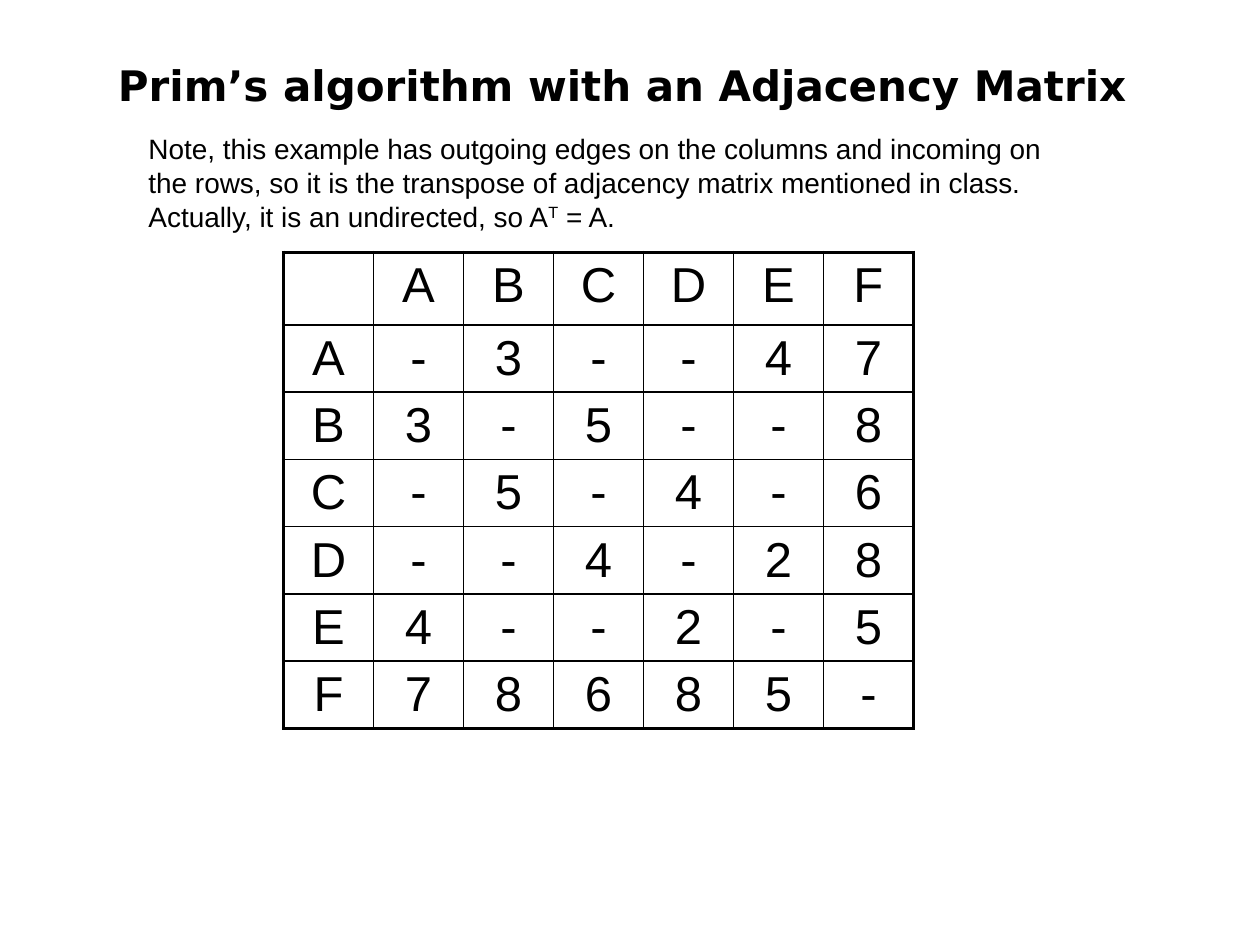
from dataclasses import dataclass

from lxml.etree import SubElement
from pptx import Presentation
from pptx.dml.color import RGBColor
from pptx.enum.text import MSO_ANCHOR as Anchor, MSO_AUTO_SIZE as AutoSize, PP_ALIGN as Align
from pptx.oxml.ns import qn
from pptx.util import Inches, Pt


@dataclass(frozen=True)
class Theme:
    ink: RGBColor = RGBColor(0, 0, 0)
    title_font: str = "DejaVu Sans"
    body_font: str = "Arial"
    title_size: int = 24
    note_size: int = 16
    cell_size: int = 28
    inner_line: float = 1
    outer_line: float = 2.25


THEME = Theme()
W, H = Inches(10), Inches(7.5)

# Boxes as shares of the slide: left, top, width, height
TITLE_BOX = (0.063, 0.056, 0.862, 0.067)
NOTE_BOX = (0.108, 0.133, 0.758, 0.121)
MATRIX_BOX = (0.225, 0.267, 0.5, 0.498)

NOTE = ("Note, this example has outgoing edges on the columns and incoming on "
        "the rows, so it is the transpose of adjacency matrix mentioned in class. "
        "Actually, it is an undirected, so A")
NODES = "ABCDEF"
WEIGHTS = ["-3--47", "3-5--8", "-5-4-6", "--4-28", "4--2-5", "78685-"]


def to_emu(box):
    return [int(share * side) for share, side in zip(box, (W, H, W, H))]


def add_run(p, text, size, name=THEME.body_font, bold=False):
    r = p.add_run()
    r.text = text
    for key, value in dict(size=Pt(size), name=name, bold=bold).items():
        setattr(r.font, key, value)
    r.font.color.rgb = THEME.ink
    return r


def set_frame(tf, anchor):
    settings = dict(word_wrap=True, auto_size=AutoSize.NONE, vertical_anchor=anchor)
    for key, value in settings.items():
        setattr(tf, key, value)


def add_title(slide, box):
    sp = slide.shapes.title
    sp.left, sp.top, sp.width, sp.height = to_emu(box)
    set_frame(sp.text_frame, Anchor.TOP)
    p = sp.text_frame.paragraphs[0]
    p.alignment = Align.CENTER
    add_run(p, "Prim’s algorithm with an Adjacency Matrix",
            THEME.title_size, THEME.title_font, True)


def add_note(slide, box):
    tf = slide.shapes.add_textbox(*to_emu(box)).text_frame
    set_frame(tf, Anchor.TOP)
    p = tf.paragraphs[0]
    add_run(p, NOTE, THEME.note_size)
    power = add_run(p, "T", THEME.note_size)
    power._r.get_or_add_rPr().set("baseline", "30000")
    add_run(p, " = A.", THEME.note_size)


def set_borders(cell, outer):
    """Draw the four sides, heavier where the side is on the outer frame."""
    tc_pr = cell._tc.get_or_add_tcPr()
    for side in "LRTB":
        width = THEME.outer_line if side in outer else THEME.inner_line
        ln = SubElement(tc_pr, qn(f"a:ln{side}"), w=str(Pt(width)))
        fill = SubElement(ln, qn("a:solidFill"))
        SubElement(fill, qn("a:srgbClr"), val=str(THEME.ink))


def add_matrix(slide, box):
    rows = [["", *NODES]] + [[node, *line] for node, line in zip(NODES, WEIGHTS)]
    n = len(rows)
    left, top, width, height = to_emu(box)
    table = slide.shapes.add_table(n, n, left, top, width, height).table
    table.first_row = table.horz_banding = False
    for i, row in enumerate(rows):
        table.rows[i].height = height // n
        table.columns[i].width = width // n
        for j, text in enumerate(row):
            cell = table.cell(i, j)
            edges = dict(L=j == 0, R=j == n - 1, T=i == 0, B=i == n - 1)
            set_borders(cell, [side for side, on in edges.items() if on])
            cell.fill.background()
            p = cell.text_frame.paragraphs[0]
            p.alignment = Align.CENTER
            p.font.size = Pt(THEME.cell_size)
            if text:
                add_run(p, text, THEME.cell_size)


def main():
    prs = Presentation()
    prs.slide_width, prs.slide_height = W, H
    slide = prs.slides.add_slide(prs.slide_layouts[5])  # title only
    add_matrix(slide, MATRIX_BOX)
    add_title(slide, TITLE_BOX)
    add_note(slide, NOTE_BOX)
    prs.save("out.pptx")


if __name__ == "__main__":
    main()
